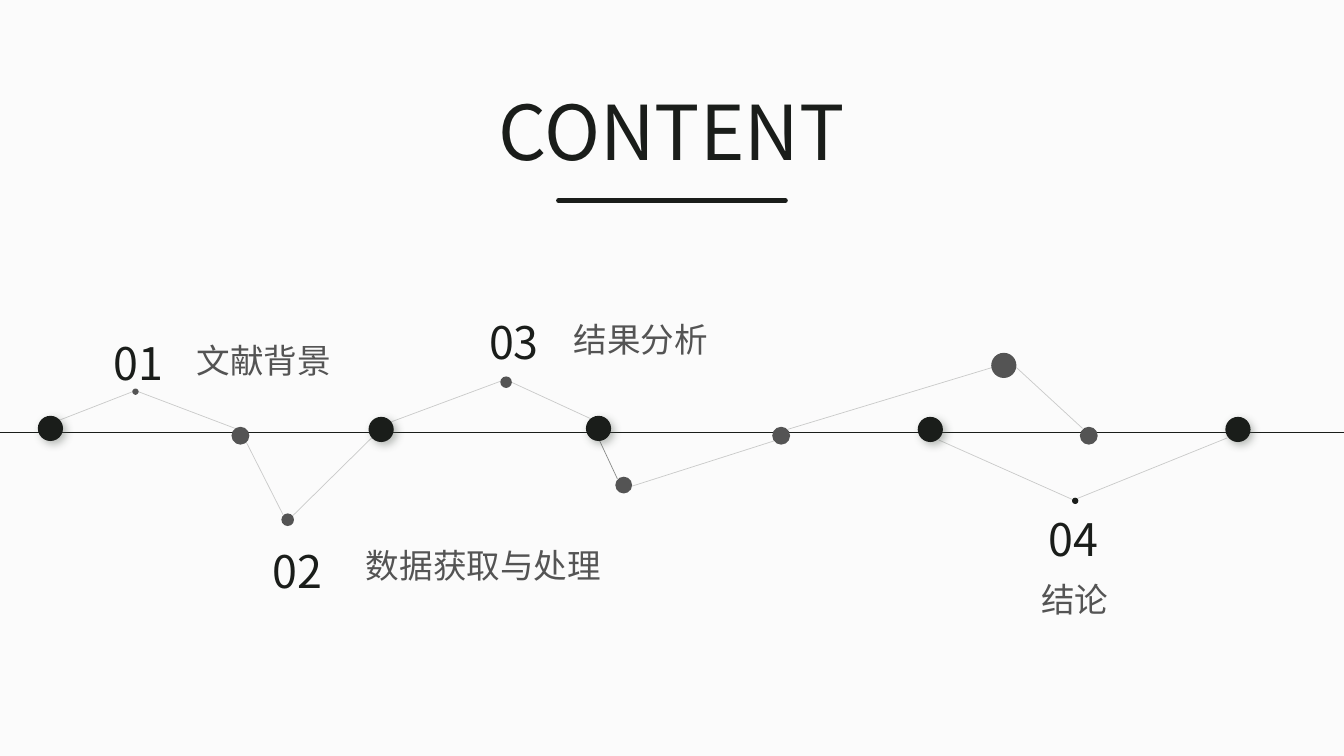
"""Build a contents slide whose four chapters hang on a zigzag timeline."""
from typing import NamedTuple

from lxml.etree import SubElement
from pptx import Presentation
from pptx.dml.color import RGBColor
from pptx.enum.shapes import MSO_CONNECTOR, MSO_SHAPE
from pptx.enum.text import MSO_ANCHOR, PP_ALIGN
from pptx.oxml.ns import qn
from pptx.slide import Slide
from pptx.text.text import TextFrame
from pptx.util import Emu, Pt

EMU_PER_PX = 9525
FONT = "Noto Sans CJK SC"
PAPER = RGBColor(0xFB, 0xFB, 0xFB)
INK = RGBColor(0x1A, 0x1D, 0x1A)
GREY = RGBColor(0x54, 0x54, 0x54)
SHADE = RGBColor(0x50, 0x59, 0x50)


class Dot(NamedTuple):
    x: int
    y: int
    size: int
    color: RGBColor
    shaded: bool = False


class Line(NamedTuple):
    x1: int
    y1: int
    x2: int
    y2: int
    weight: float = 0.5
    opacity: int = 21
    rounded: bool = False


class Chapter(NamedTuple):
    number: str
    number_x: int
    number_y: int
    topic: str
    topic_x: int
    topic_y: int
    topic_width: int


TITLE_RULE = Line(532, 191, 748, 191, 3.5, 100, True)
AXIS = Line(0, 412, 1280, 412, 0.75, 100)
AXIS_DOTS = [
    *(Dot(x, 415, 17, GREY) for x in (229, 744, 1037)),
    *(Dot(x, 408, 24, INK, True) for x in (48, 570)),
    *(Dot(x, 409, 24, INK, True) for x in (363, 886, 1179)),
]
LINKS = [
    Line(57, 400, 129, 372),
    Line(129, 372, 224, 408),
    Line(234, 420, 270, 491),
    Line(278, 492, 354, 417),
    Line(372, 402, 477, 363),
    Line(563, 399, 487, 364),
    Line(567, 411, 588, 456, opacity=51),
    Line(737, 420, 602, 463),
    Line(945, 350, 750, 409),
    Line(1031, 408, 968, 350),
    Line(1022, 476, 894, 419),
    Line(1169, 417, 1023, 476),
]
PEAK_DOTS = [
    Dot(274, 495, 12, GREY),
    Dot(482, 364, 11, GREY),
    Dot(594, 462, 16, GREY),
    Dot(956, 348, 24, GREY),
    Dot(129, 373, 6, GREY),
    Dot(1024, 477, 6, INK),
]
CHAPTERS = [
    Chapter("01", 39, 315, "文献背景", 178, 319, 348),
    Chapter("02", 191, 513, "数据获取与处理", 339, 514, 246),
    Chapter("03", 397, 295, "结果分析", 537, 299, 149),
    Chapter("04", 930, 483, "结论", 982, 547, 85),
]


def px(length: int) -> Emu:
    """Turn a length in px into EMU."""
    return Emu(length * EMU_PER_PX)


def write(frame: TextFrame, text: str, size: int, color: RGBColor, align: PP_ALIGN) -> None:
    """Fill a text frame with one formatted line."""
    frame.word_wrap = True
    frame.vertical_anchor = MSO_ANCHOR.TOP
    frame.text = text
    line = frame.paragraphs[0]
    line.alignment = align
    line.font.size = Pt(size)
    line.font.color.rgb = color
    line.font.name = FONT
    SubElement(line.font._element, qn("a:ea"), typeface=FONT)


def add_text(slide: Slide, left: int, top: int, width: int, height: int,
             text: str, size: int, color: RGBColor, align: PP_ALIGN) -> None:
    """Add a text box with one line."""
    box = slide.shapes.add_textbox(px(left), px(top), px(width), px(height))
    write(box.text_frame, text, size, color, align)


def add_line(slide: Slide, line: Line) -> None:
    """Add a straight line, see-through if its opacity is below 100."""
    ends = map(px, (line.x1, line.y1, line.x2, line.y2))
    connector = slide.shapes.add_connector(MSO_CONNECTOR.STRAIGHT, *ends)
    connector.line.width = Pt(line.weight)
    connector.line.color.rgb = INK
    properties = connector._element.spPr
    if line.opacity < 100:
        color = properties.find(f".//{qn('a:srgbClr')}")
        SubElement(color, qn("a:alpha"), val=str(line.opacity * 1000))
    if line.rounded:
        connector.line._get_or_add_ln().set("cap", "rnd")
    SubElement(properties, qn("a:effectLst"))


def add_dot(slide: Slide, dot: Dot) -> None:
    """Add a round dot about its centre, with a soft shadow if shaded."""
    half = px(dot.size) // 2
    circle = slide.shapes.add_shape(
        MSO_SHAPE.OVAL, px(dot.x) - half, px(dot.y) - half, px(dot.size), px(dot.size))
    circle.fill.solid()
    circle.fill.fore_color.rgb = dot.color
    circle.line.fill.background()
    circle.shadow.inherit = False
    if dot.shaded:
        effects = circle._element.spPr.find(qn("a:effectLst"))
        shadow = SubElement(effects, qn("a:outerShdw"), blurRad=str(Pt(6)), dist=str(Pt(3)),
                            dir=str(45 * 60000), algn="ctr", rotWithShape="0")
        color = SubElement(shadow, qn("a:srgbClr"), val=str(SHADE))
        SubElement(color, qn("a:alpha"), val="40000")


def main() -> None:
    """Build and save the slide."""
    deck = Presentation()
    deck.slide_width, deck.slide_height = px(1280), px(720)
    slide = deck.slides.add_slide(deck.slide_layouts[5])
    slide.background.fill.solid()
    slide.background.fill.fore_color.rgb = PAPER

    title = slide.shapes.title
    title.left, title.top, title.width, title.height = map(px, (465, 76, 368, 97))
    write(title.text_frame, "CONTENT", 54, INK, PP_ALIGN.LEFT)

    for line in (TITLE_RULE, AXIS):
        add_line(slide, line)
    for dot in AXIS_DOTS:
        add_dot(slide, dot)
    for link in LINKS:
        add_line(slide, link)
    for chapter in CHAPTERS:
        add_text(slide, chapter.number_x, chapter.number_y, 185, 61,
                 chapter.number, 32, INK, PP_ALIGN.CENTER)
        add_text(slide, chapter.topic_x, chapter.topic_y, chapter.topic_width, 48,
                 chapter.topic, 24, GREY, PP_ALIGN.LEFT)
    for dot in PEAK_DOTS:
        add_dot(slide, dot)

    deck.save("out.pptx")


if __name__ == "__main__":
    main()
